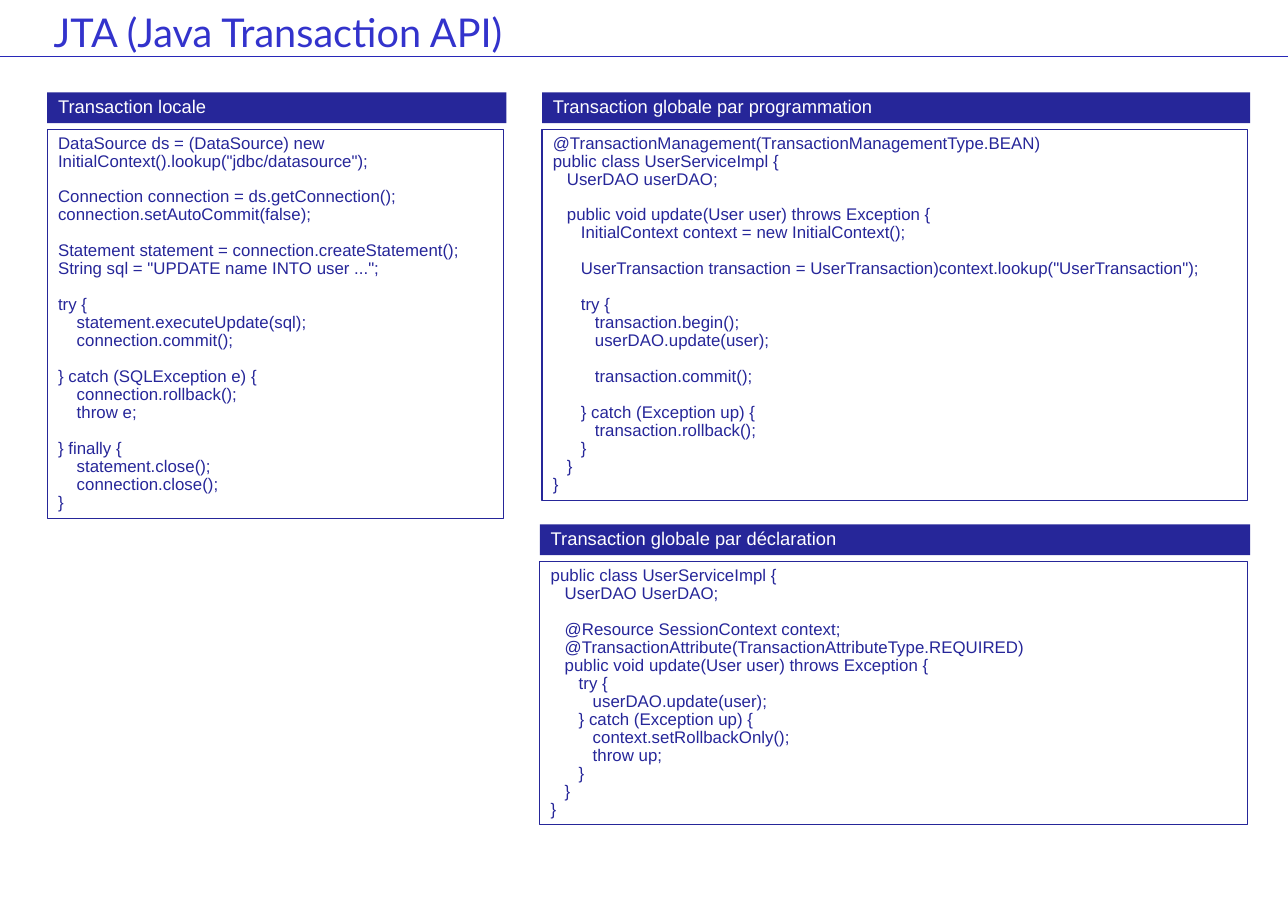
from lxml import etree
from pptx import Presentation
from pptx.dml.color import RGBColor
from pptx.enum.shapes import MSO_CONNECTOR as Connector, MSO_SHAPE as Shape
from pptx.enum.text import MSO_ANCHOR as Anchor, PP_ALIGN as Align
from pptx.oxml.ns import qn
from pptx.util import Cm, Pt

TITLE = "JTA (Java Transaction API)"

LOCAL_CODE = """\
DataSource ds = (DataSource) new InitialContext().lookup("jdbc/datasource");

Connection connection = ds.getConnection();
connection.setAutoCommit(false);

Statement statement = connection.createStatement();
String sql = "UPDATE name INTO user ...";

try {
    statement.executeUpdate(sql);
    connection.commit();

} catch (SQLException e) {
    connection.rollback();
    throw e;

} finally {
    statement.close();
    connection.close();
}"""

PROGRAMMED_CODE = """\
@TransactionManagement(TransactionManagementType.BEAN)
public class UserServiceImpl {
   UserDAO userDAO;

   public void update(User user) throws Exception {
      InitialContext context = new InitialContext();

      UserTransaction transaction = UserTransaction)context.lookup("UserTransaction");

      try {
         transaction.begin();
         userDAO.update(user);

         transaction.commit();

      } catch (Exception up) {
         transaction.rollback();
      }
   }
}"""

DECLARED_CODE = """\
public class UserServiceImpl {
   UserDAO UserDAO;

   @Resource SessionContext context;
   @TransactionAttribute(TransactionAttributeType.REQUIRED)
   public void update(User user) throws Exception {
      try {
         userDAO.update(user);
      } catch (Exception up) {
         context.setRollbackOnly();
         throw up;
      }
   }
}"""

# heading, code, left, top, width, code height
PANELS = [
    ("Transaction locale", LOCAL_CODE, 1.09, 2.13, 10.59, 8.97),
    ("Transaction globale par programmation", PROGRAMMED_CODE, 12.5, 2.13, 16.33, 8.56),
    ("Transaction globale par déclaration", DECLARED_CODE, 12.45, 12.09, 16.38, 6.07),
]
HEADING_HEIGHT, CODE_OFFSET, CODE_INSET = 0.71, 0.85, 0.07
CODE_PITCH = 11.7
NAVY, WHITE, TITLE_BLUE, RULE_BLUE = "262699", "FFFFFF", "3333CC", "2828B8"


def paint(color_format, color):
    color_format.rgb = RGBColor.from_string(color)


def write(shape, text, size, font, color, spacing):
    frame = shape.text_frame
    frame.word_wrap = True
    frame.vertical_anchor = Anchor.TOP
    gap = 0
    for number, line in enumerate(text.split("\n")):
        if not line:
            gap += CODE_PITCH
            continue
        paragraph = frame.add_paragraph() if number else frame.paragraphs[0]
        paragraph.text = line
        paragraph.alignment = Align.LEFT
        paragraph.line_spacing = spacing
        paragraph.space_before = Pt(gap)
        gap = 0
        for run in paragraph.runs:
            run.font.size = Pt(size)
            run.font.name = font
            paint(run.font.color, color)


def add_box(left, top, width, height, fill=None, line=None):
    box = slide.shapes.add_shape(Shape.RECTANGLE, Cm(left), Cm(top), Cm(width), Cm(height))
    box.shadow.inherit = False
    if fill:
        box.fill.solid()
        paint(box.fill.fore_color, fill)
    else:
        box.fill.background()
    if line:
        paint(box.line.color, line)
        box.line.width = Pt(0.75)
    else:
        box.line.fill.background()
    return box


deck = Presentation()
deck.slide_width, deck.slide_height = Cm(29.7), Cm(21)
slide = deck.slides.add_slide(deck.slide_layouts[6])

rule = slide.shapes.add_connector(Connector.STRAIGHT, 0, Cm(1.3), deck.slide_width, Cm(1.3))
paint(rule.line.color, RULE_BLUE)
rule.line.width = Pt(0.75)
etree.SubElement(rule._element.spPr, qn("a:effectLst"))

title = slide.shapes.add_textbox(Cm(0.99), Cm(0.15), Cm(19.41), Cm(1.32))
write(title, TITLE, 25.9, "Lato", TITLE_BLUE, 0.93)

for heading, code, left, top, width, code_height in PANELS:
    code_box = add_box(left, top + CODE_OFFSET, width - CODE_INSET, code_height, line=NAVY)
    write(code_box, code, 11, "Arial", NAVY, 0.89)
    heading_box = add_box(left, top, width, HEADING_HEIGHT, fill=NAVY)
    write(heading_box, heading, 12, "Arial", WHITE, 0.89)

deck.save("out.pptx")
